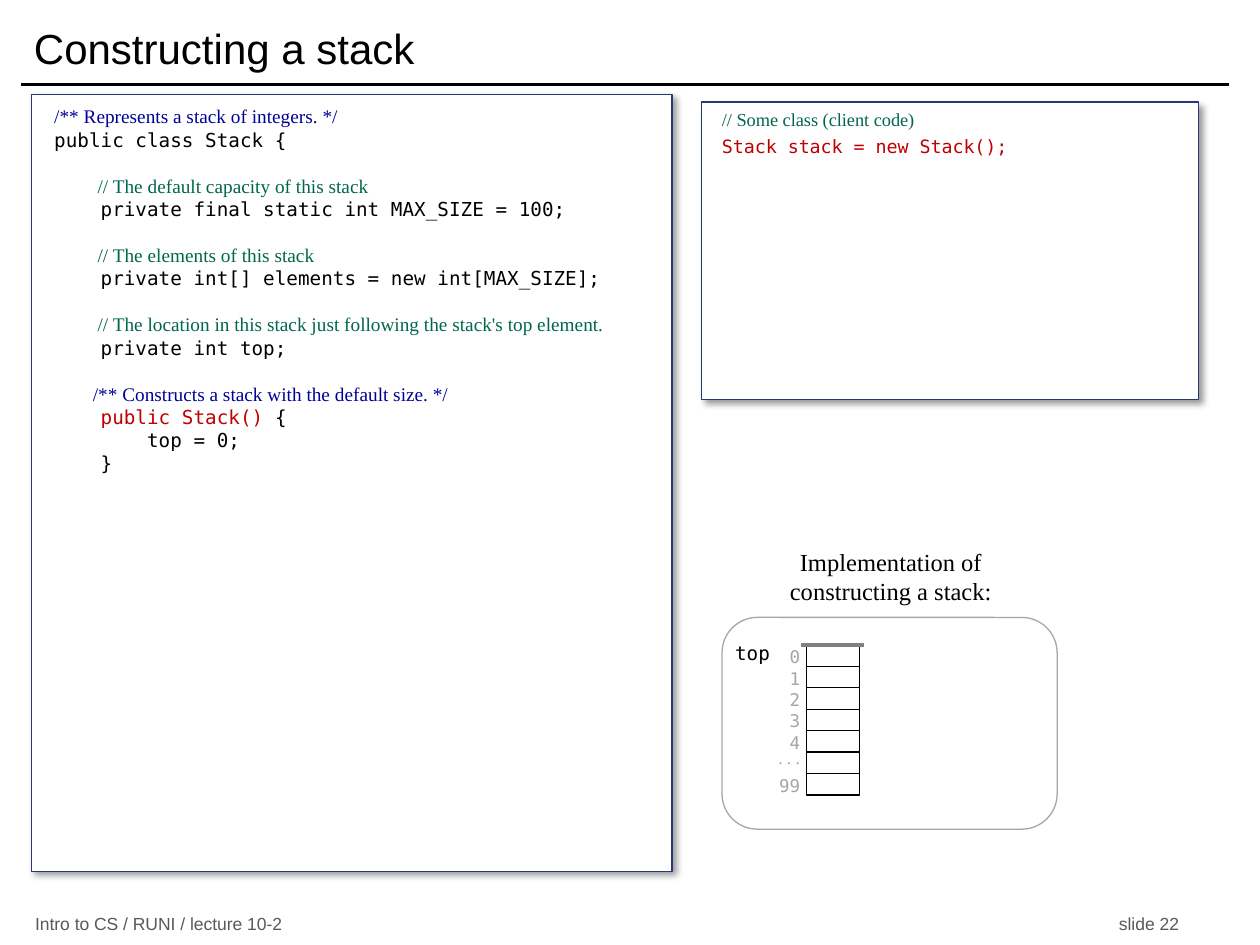
from lxml.etree import SubElement
from pptx import Presentation
from pptx.dml.color import RGBColor
from pptx.enum.shapes import MSO_CONNECTOR, MSO_SHAPE
from pptx.enum.text import MSO_ANCHOR, PP_ALIGN
from pptx.oxml.ns import qn
from pptx.util import Pt

SANS, SERIF, MONO = "Arial", "Times New Roman", "DejaVu Sans Mono"
BLACK, WHITE, NAVY = "000000", "FFFFFF", "293973"
DOC, COMMENT, RED = "000099", "00664D", "C00000"
GREY, FOOTER_GREY = "A6A6A6", "595959"
LEFT, CENTER, RIGHT = PP_ALIGN.LEFT, PP_ALIGN.CENTER, PP_ALIGN.RIGHT


def rgb(value):
    return RGBColor.from_string(value)


def write(tf, lines, size=11, font=MONO, color=BLACK, align=LEFT, pitch=None,
          insets=(0, 0, 0, 0), anchor=MSO_ANCHOR.MIDDLE):
    """Fill a text frame; a line is a string or (space before, runs of (text, format))."""
    tf.word_wrap = True
    tf.vertical_anchor = anchor
    tf.margin_left, tf.margin_top, tf.margin_right, tf.margin_bottom = map(Pt, insets)
    for i, line in enumerate(lines):
        before, runs = (0, [(line, {})]) if isinstance(line, str) else line
        p = tf.paragraphs[0] if i == 0 else tf.add_paragraph()
        p.alignment = align
        if before:
            p.space_before = Pt(before)
        if pitch:
            p.line_spacing = Pt(pitch)
        for text, style in runs:
            r = p.add_run()
            r.text = text
            r.font.size = Pt(style.get("size", size))
            r.font.name = style.get("font", font)
            r.font.color.rgb = rgb(style.get("color", color))


def add_text(s, box, *lines, **style):
    sp = s.shapes.add_textbox(*map(Pt, box))
    write(sp.text_frame, lines, **style)


def add_box(s, box, line, kind=MSO_SHAPE.RECTANGLE):
    sp = s.shapes.add_shape(kind, *map(Pt, box))
    sp.shadow.inherit = False
    sp.fill.solid()
    sp.fill.fore_color.rgb = rgb(WHITE)
    sp.line.color.rgb = rgb(line)
    sp.line.width = Pt(0.75)
    return sp


def add_line(s, x1, x2, y, color, width):
    ln = s.shapes.add_connector(MSO_CONNECTOR.STRAIGHT, Pt(x1), Pt(y), Pt(x2), Pt(y))
    ln.line.color.rgb = rgb(color)
    ln.line.width = Pt(width)
    SubElement(ln._element.spPr, qn("a:effectLst"))


def add_panel(s, box, lines, **style):
    """White code panel with a soft shadow at the lower right."""
    sp = add_box(s, box, NAVY)
    effects = sp._element.spPr.find(qn("a:effectLst"))
    shadow = SubElement(effects, qn("a:outerShdw"), blurRad=str(Pt(4)), dist=str(Pt(3)),
                        dir="2700000", algn="tl", rotWithShape="0")
    color = SubElement(shadow, qn("a:srgbClr"), val=BLACK)
    SubElement(color, qn("a:alpha"), val="40000")
    write(sp.text_frame, lines, anchor=MSO_ANCHOR.TOP, **style)


def add_frame(s, width):
    add_line(s, 12, width - 18, 48.2, BLACK, 2)
    add_text(s, (19.4, 6, 682, 42), "Constructing a stack", size=24, font=SANS)
    footer = dict(size=10, font=SANS, color=FOOTER_GREY)
    add_text(s, (20, 520.5, 300, 14), "Intro to CS / RUNI / lecture 10-2", **footer)
    add_text(s, (573.7, 520.5, 100, 14), "slide 22", align=RIGHT, **footer)


def add_class_code(s, box):
    pitch = 13.2
    doc = dict(font=SERIF, color=DOC)
    comment = dict(font=SERIF, color=COMMENT)
    lines = [
        (0, [("/** Represents a stack of integers. */", doc)]),
        "public class Stack {",
        (pitch, [("         // The default capacity of this stack", comment)]),
        "    private final static int MAX_SIZE = 100;",
        (pitch, [("         // The elements of this stack", comment)]),
        "    private int[] elements = new int[MAX_SIZE];",
        (pitch, [("         // The location in this stack just following "
                  "the stack's top element.", comment)]),
        "    private int top;",
        (pitch, [("        /** Constructs a stack with the default size. */", doc)]),
        (0, [("    public Stack() ", dict(color=RED)), ("{", {})]),
        "        top = 0;",
        "    }",
    ]
    add_panel(s, box, lines, pitch=pitch, insets=(13, 5.8, 0, 0))


def add_client_code(s, box):
    lines = [
        (0, [("// Some class (client code)", dict(font=SERIF, color=COMMENT))]),
        (3, [("Stack stack = new Stack();", dict(color=RED))]),
    ]
    add_panel(s, box, lines, size=10.5, insets=(11.5, 3.5, 0, 0))


def add_stack_diagram(s, box):
    x, y, w, h = box
    add_text(s, (x - 22, y - 40.3, 236.9, 33.8), "Implementation of",
             "constructing a stack:", size=14, font=SERIF, align=CENTER)
    add_box(s, box, GREY, MSO_SHAPE.ROUNDED_RECTANGLE)
    cell_x, cell_y, cell_w, cell_h = x + 48.2, y + 15.8, 30.24, 12.24
    add_text(s, (x, cell_y - 2.5, cell_w, 13.7), "top", align=RIGHT,
             insets=(0, 0, 2.9, 0))
    for i, label in enumerate(["0", "1", "2", "3", "4", ". . .", "99"]):
        top = cell_y + i * cell_h
        dots = label == ". . ."
        add_box(s, (cell_x, top, cell_w, cell_h), BLACK)
        add_text(s, (cell_x - 31, top + (-2.9 if dots else 0.5), cell_w, cell_h),
                 label, size=10, font=SERIF if dots else MONO, color=GREY,
                 align=RIGHT, insets=(0, 0, 2.9, 0))
    add_line(s, cell_x - 2.9, cell_x + cell_w + 2.9, cell_y, "808080", 2.5)


def main():
    prs = Presentation()
    prs.slide_width, prs.slide_height = Pt(720), Pt(540)
    s = prs.slides.add_slide(prs.slide_layouts[6])
    add_frame(s, 720)
    add_class_code(s, (18, 54, 366, 444))
    add_client_code(s, (401, 58.3, 284, 170))
    add_stack_diagram(s, (412.6, 352.8, 191.5, 121))
    prs.save("out.pptx")


if __name__ == "__main__":
    main()
